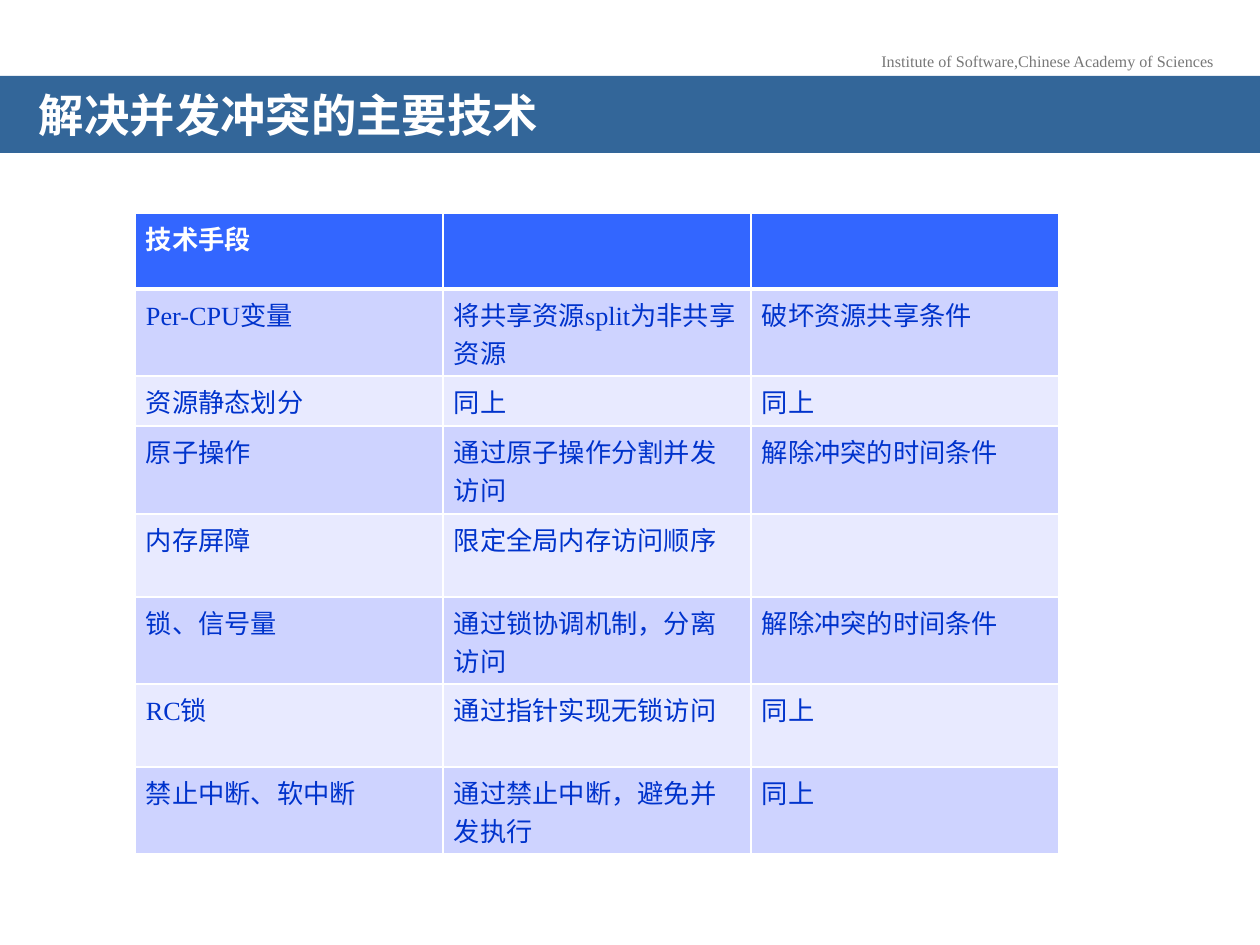
"""Build the slide on the main techniques for resolving concurrency conflicts."""
from dataclasses import dataclass

from lxml import etree
from pptx import Presentation
from pptx.dml.color import RGBColor
from pptx.enum.text import MSO_ANCHOR, MSO_AUTO_SIZE, PP_ALIGN
from pptx.oxml.ns import qn
from pptx.util import Emu, Pt

MIDDLE = MSO_ANCHOR.MIDDLE
NO_AUTOFIT = MSO_AUTO_SIZE.NONE
LEFT, CENTER = PP_ALIGN.LEFT, PP_ALIGN.CENTER
TITLE_ONLY = 5
EMU_PER_PX = 914400 / 126

TECHNIQUES = [
    ("技术手段", "", ""),
    ("Per-CPU变量", "将共享资源split为非共享资源", "破坏资源共享条件"),
    ("资源静态划分", "同上", "同上"),
    ("原子操作", "通过原子操作分割并发访问", "解除冲突的时间条件"),
    ("内存屏障", "限定全局内存访问顺序", ""),
    ("锁、信号量", "通过锁协调机制，分离访问", "解除冲突的时间条件"),
    ("RC锁", "通过指针实现无锁访问", "同上"),
    ("禁止中断、软中断", "通过禁止中断，避免并发执行", "同上"),
]
ROW_HEIGHTS = [76, 87, 50, 88, 83, 87, 83, 87]


@dataclass(frozen=True)
class Theme:
    """Colours, fonts and type sizes of the slide."""

    band: str = "336699"
    header: str = "3366FF"
    odd_row: str = "CED3FF"
    even_row: str = "E8EAFF"
    white: str = "FFFFFF"
    body_text: str = "0033CC"
    muted: str = "777777"
    serif: str = "Times New Roman"
    cjk: str = "Noto Sans CJK SC"
    title_size: float = 25.9
    body_size: float = 15
    affiliation_size: float = 9.2
    rule: float = 1
    header_rule: float = 3


def px(length):
    """Turn pixels into EMU."""
    return Emu(round(length * EMU_PER_PX))


class SlideBuilder:
    """Hold the theme and the current slide, and add elements to it."""

    def __init__(self, slide, theme):
        """Keep the slide and its theme."""
        self.slide = slide
        self.theme = theme

    def style(self, paragraph, size, color, latin, bold=False):
        """Format every run of a paragraph."""
        for run in paragraph.runs:
            font = run.font
            font.size, font.bold, font.name = Pt(size), bold, latin
            font.color.rgb = RGBColor.from_string(color)
            east_asian = etree.Element(qn("a:ea"), typeface=self.theme.cjk)
            run.font._element.find(qn("a:latin")).addnext(east_asian)

    def affiliation(self, text, left, top, width, height):
        """Add the small affiliation line above the title band."""
        box = self.slide.shapes.add_textbox(px(left), px(top), px(width), px(height))
        frame = box.text_frame
        frame.word_wrap = False
        frame.text = text
        line = frame.paragraphs[0]
        line.alignment = CENTER
        self.style(line, self.theme.affiliation_size, self.theme.muted, self.theme.serif)

    def title(self, text, left, top, width, height):
        """Turn the title placeholder into a filled band."""
        band = self.slide.shapes.title
        band.left, band.top, band.width, band.height = map(px, (left, top, width, height))
        band.fill.solid()
        band.fill.fore_color.rgb = RGBColor.from_string(self.theme.band)
        frame = band.text_frame
        frame.text = text
        frame.auto_size = NO_AUTOFIT
        frame.word_wrap = True
        frame.vertical_anchor = MIDDLE
        frame.margin_left = frame.margin_right = px(39)
        frame.margin_top, frame.margin_bottom = px(20), px(6)
        heading = frame.paragraphs[0]
        heading.alignment = LEFT
        heading.line_spacing = 0.7
        self.style(heading, self.theme.title_size, self.theme.white, self.theme.cjk, bold=True)

    def borders(self, cell, top, bottom):
        """Draw white rules around a cell, with widths in points."""
        rule = self.theme.rule
        for side, width in (("L", rule), ("R", rule), ("T", top), ("B", bottom)):
            line = etree.SubElement(
                cell._tc.get_or_add_tcPr(), qn(f"a:ln{side}"), w=str(Pt(width)))
            fill = etree.SubElement(line, qn("a:solidFill"))
            etree.SubElement(fill, qn("a:srgbClr"), val=self.theme.white)

    def cell(self, cell, text, row):
        """Fill, border and label one table cell."""
        theme = self.theme
        is_header = row == 0
        fill = theme.header if is_header else theme.odd_row if row % 2 else theme.even_row
        self.borders(cell,
                     top=theme.header_rule if row == 1 else theme.rule,
                     bottom=theme.header_rule if is_header else theme.rule)
        cell.fill.solid()
        cell.fill.fore_color.rgb = RGBColor.from_string(fill)
        cell.margin_left = cell.margin_right = px(11)
        cell.margin_top = cell.margin_bottom = px(6)
        cell.text = text
        label = cell.text_frame.paragraphs[0]
        label.alignment = LEFT
        color = theme.white if is_header else theme.body_text
        self.style(label, theme.body_size, color, theme.serif, bold=is_header)

    def table(self, rows, heights, left, top, column_width):
        """Add a table with equal columns and banded rows."""
        columns = len(rows[0])
        table = self.slide.shapes.add_table(
            len(rows), columns, px(left), px(top),
            px(column_width * columns), px(sum(heights))).table
        for column in table.columns:
            column.width = px(column_width)
        for row, (texts, height) in enumerate(zip(rows, heights)):
            table.rows[row].height = px(height)
            for column, text in enumerate(texts):
                self.cell(table.cell(row, column), text, row)


def main():
    """Build and save the presentation."""
    presentation = Presentation()
    presentation.slide_width, presentation.slide_height = px(1260), px(945)
    slide = presentation.slides.add_slide(presentation.slide_layouts[TITLE_ONLY])
    builder = SlideBuilder(slide, Theme())
    builder.affiliation("Institute of Software,Chinese Academy of Sciences", 866, 45, 363, 33)
    builder.title("解决并发冲突的主要技术", 0, 76, 1260, 77)
    builder.table(TECHNIQUES, ROW_HEIGHTS, left=135, top=213, column_width=308)
    presentation.save("out.pptx")


if __name__ == "__main__":
    main()
